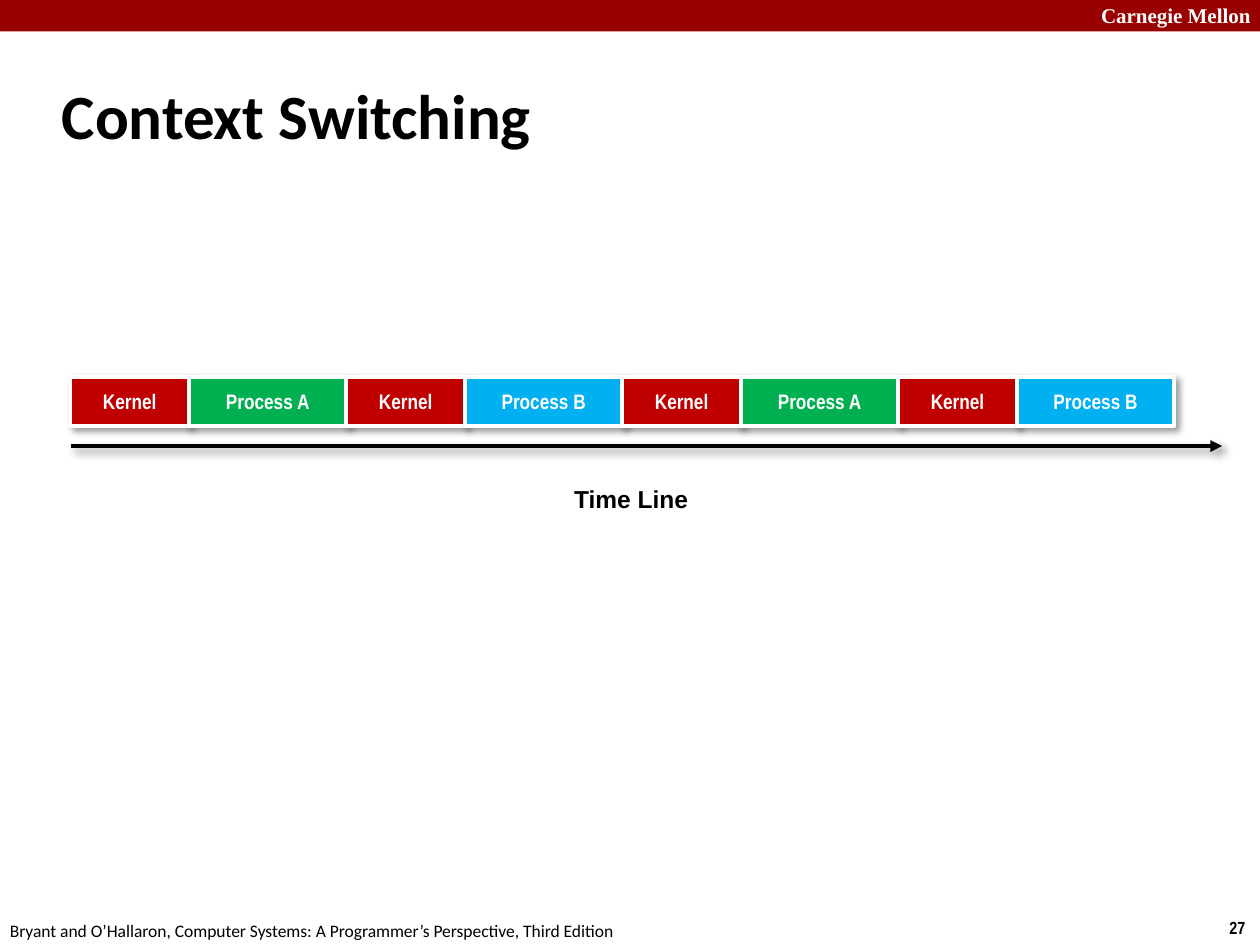
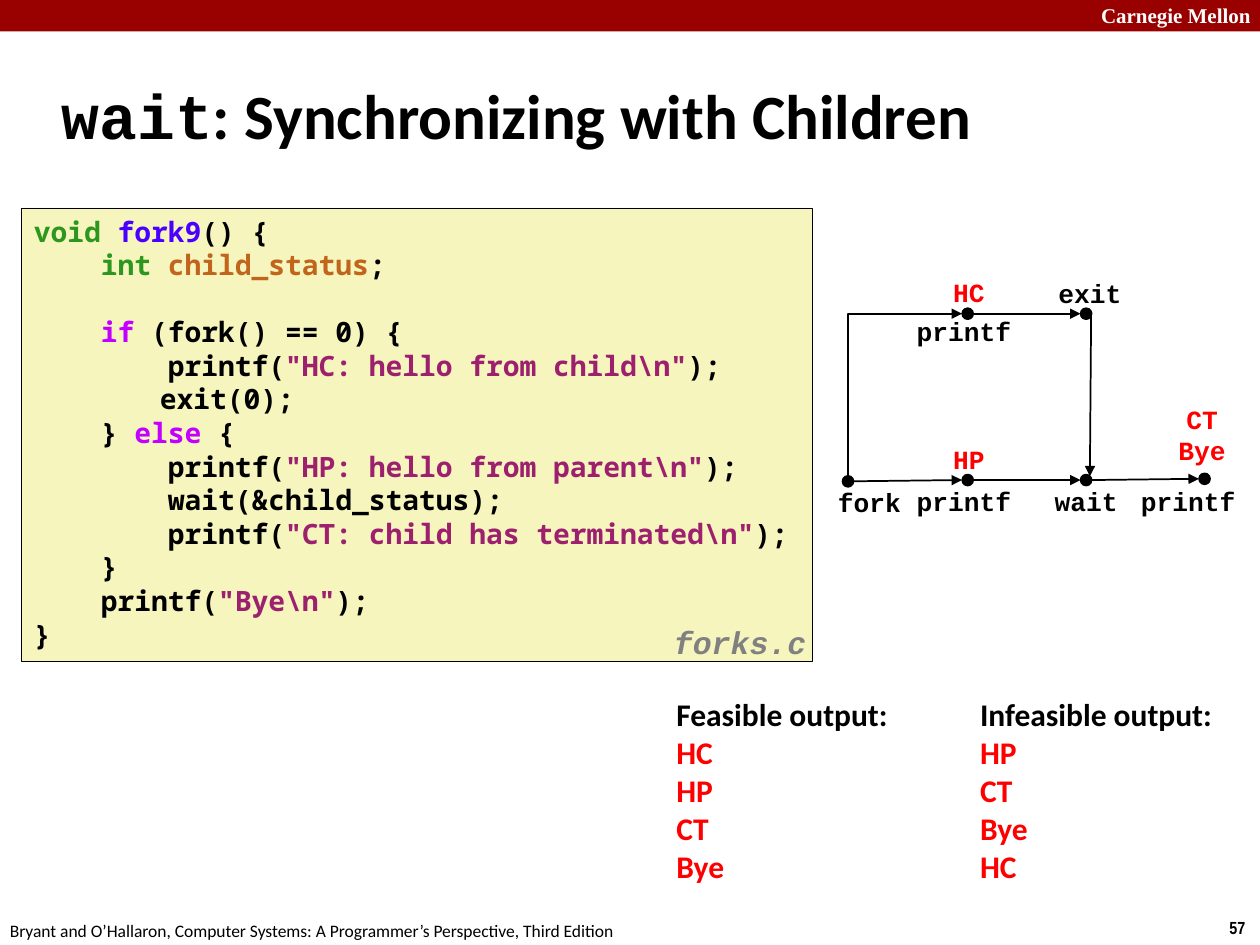
from dataclasses import dataclass
from itertools import pairwise

from lxml.etree import SubElement
from pptx import Presentation
from pptx.dml.color import RGBColor
from pptx.enum.shapes import MSO_CONNECTOR, MSO_SHAPE
from pptx.enum.text import MSO_ANCHOR, PP_ALIGN
from pptx.oxml.ns import qn
from pptx.util import Inches, Pt


@dataclass(frozen=True)
class Theme:
    black: str = "000000"
    white: str = "FFFFFF"
    band: str = "990000"
    kernel: str = "C00000"
    process_a: str = "00B050"
    process_b: str = "00B0F0"
    output: str = "FF0000"
    paper: str = "F6F5BD"
    file_name: str = "808080"
    type_word: str = "2D961E"
    function: str = "4A00FF"
    variable: str = "C1651C"
    keyword: str = "C200FF"
    string: str = "9D206F"
    sans: str = "Calibri"
    narrow: str = "Arial Narrow"
    label: str = "Arial"
    serif: str = "Times New Roman"
    mono: str = "Courier New"
    code: str = "Noto Sans Mono"
    title_size: float = 36
    list_size: float = 18
    code_size: float = 16
    graph_size: float = 15
    caption_size: float = 14
    box_size: float = 12
    footer_size: float = 10


T = Theme()

UNIVERSITY = "Carnegie Mellon"
BOOK = "Bryant and O’Hallaron, Computer Systems: A Programmer’s Perspective, Third Edition"

SWITCHING_TITLE = [("Context Switching",)]
WAIT_TITLE = [("wait", T.black, T.mono), (": Synchronizing with Children",)]

KERNEL = ("Kernel", 0.94, T.kernel)
PROCESS_A = ("Process A", 1.25, T.process_a)
PROCESS_B = ("Process B", 1.25, T.process_b)
TIME_SLICES = [KERNEL, PROCESS_A, KERNEL, PROCESS_B] * 2

CODE = [
    [("void ", T.type_word), ("fork9", T.function), ("() {",)],
    [("    ",), ("int ", T.type_word), ("child_status", T.variable), (";",)],
    [],
    [("    ",), ("if", T.keyword), (" (fork() == 0) {",)],
    [("        printf(",), ('"HC: hello from child\\n"', T.string), (");",)],
    [("\texit(0);",)],
    [("    } ",), ("else", T.keyword), (" {",)],
    [("        printf(",), ('"HP: hello from parent\\n"', T.string), (");",)],
    [("        wait(&child_status);",)],
    [("        printf(",), ('"CT: child has terminated\\n"', T.string), (");",)],
    [("    }",)],
    [("    printf(",), ('"Bye\\n"', T.string), (");",)],
    [("}",)],
]

CHILD_NODES = [(7.68, 2.49), (8.62, 2.49)]
PARENT_NODES = [(6.73, 3.82), (7.68, 3.81), (8.62, 3.81), (9.56, 3.8)]
NODE_SIZE = 0.09

GRAPH_LABELS = [
    (["fork"], 6.9, 3.81, T.black),
    (["printf"], 7.65, 3.8, T.black),
    (["wait"], 8.62, 3.8, T.black),
    (["printf"], 9.43, 3.8, T.black),
    (["printf"], 7.65, 2.45, T.black),
    (["exit"], 8.65, 2.15, T.black),
    (["HP"], 7.69, 3.47, T.output),
    (["HC"], 7.69, 2.14, T.output),
    (["CT", "Bye"], 9.54, 3.15, T.output),
]

OUTPUTS = [
    (5.27, "Feasible output:", ["HC", "HP", "CT", "Bye"]),
    (7.68, "Infeasible output:", ["HP", "CT", "Bye", "HC"]),
]


def write(frame, paragraphs, font=T.sans, size=T.box_size, color=T.black, bold=True,
          italic=False, align=PP_ALIGN.LEFT, anchor=MSO_ANCHOR.TOP, spacing=None, wrap=True):
    frame.word_wrap = wrap
    frame.vertical_anchor = anchor
    for index, runs in enumerate(paragraphs):
        paragraph = frame.paragraphs[0] if index == 0 else frame.add_paragraph()
        paragraph.alignment = align
        if spacing:
            paragraph.line_spacing = spacing
        runs = [(runs,)] if isinstance(runs, str) else runs
        if any("\t" in words for words, *_ in runs):
            tabs = SubElement(paragraph._p.get_or_add_pPr(), qn("a:tabLst"))
            SubElement(tabs, qn("a:tab"), pos=str(Inches(1)), algn="l")
        for words, *style in runs:
            run = paragraph.add_run()
            run.text = words
            run.font.color.rgb = RGBColor.from_string(style[0] if style else color)
            run.font.name = style[1] if len(style) > 1 else font
            run.font.size = Pt(size)
            run.font.bold = bold
            run.font.italic = italic
        if not runs:
            end = SubElement(paragraph._p, qn("a:endParaRPr"), sz=str(int(size * 100)), b="1")
            SubElement(end, qn("a:latin"), typeface=font)


def add_label(slide, at, paragraphs, **style):
    label = slide.shapes.add_textbox(*map(Inches, at))
    write(label.text_frame, paragraphs, **style)


def add_box(slide, at, fill, line=None, width=0.75, kind=MSO_SHAPE.RECTANGLE):
    box = slide.shapes.add_shape(kind, *map(Inches, at))
    box.fill.solid()
    box.fill.fore_color.rgb = RGBColor.from_string(fill)
    if line:
        box.line.color.rgb = RGBColor.from_string(line)
        box.line.width = Pt(width)
    else:
        box.line.fill.background()
    box.shadow.inherit = False
    return box


def add_arrow(slide, start, end, width=1, kind=MSO_CONNECTOR.STRAIGHT):
    arrow = slide.shapes.add_connector(kind, *map(Inches, (*start, *end)))
    arrow.line.color.rgb = RGBColor.from_string(T.black)
    arrow.line.width = Pt(width)
    properties = arrow._element.spPr
    SubElement(properties.find(qn("a:ln")), qn("a:tailEnd"), type="triangle")
    SubElement(properties, qn("a:effectLst"))
    return arrow


def add_corner_arrow(slide, start, end):
    rise, run = start[1] - end[1], end[0] - start[0]
    x, y = (start[0] + end[0]) / 2, (start[1] + end[1]) / 2
    arrow = add_arrow(slide, (x - rise / 2, y - run / 2), (x + rise / 2, y + run / 2),
                      kind=MSO_CONNECTOR.ELBOW)
    properties = arrow._element.spPr
    properties.find(qn("a:prstGeom")).set("prst", "bentConnector2")
    for key, value in {"rot": "5400000", "flipH": "1", "flipV": "1"}.items():
        properties.find(qn("a:xfrm")).set(key, value)


def cast_shadow(part, blur, distance):
    effects = part._element.spPr.find(qn("a:effectLst"))
    shadow = SubElement(effects, qn("a:outerShdw"), blurRad=str(Pt(blur)), dist=str(Pt(distance)),
                        dir="2700000", algn="tl", rotWithShape="0")
    tint = SubElement(shadow, qn("a:srgbClr"), val=T.black)
    SubElement(tint, qn("a:alpha"), val="40000")


def start_slide(deck, title, number):
    slide = deck.slides.add_slide(deck.slide_layouts[5])
    add_box(slide, (0, 0, 10, 0.25), T.band)
    add_label(slide, (8.64, -0.03, 1.43, 0.3), [UNIVERSITY], font=T.serif, color=T.white)
    add_label(slide, (9.66, 7.23, 0.34, 0.27), [number], font=T.narrow, size=T.footer_size,
              wrap=False)
    add_label(slide, (-0.02, 7.25, 5.08, 0.27), [BOOK], size=T.footer_size, bold=False)
    heading = slide.shapes.title
    heading.left, heading.top, heading.width, heading.height = map(Inches, (0.39, 0.49, 8.3, 0.83))
    write(heading.text_frame, [title], size=T.title_size, anchor=MSO_ANCHOR.MIDDLE)
    return slide


def build_switching(deck):
    slide = start_slide(deck, SWITCHING_TITLE, "27")
    left = 0.56
    for name, width, fill in TIME_SLICES:
        time_slice = add_box(slide, (left, 2.99, width, 0.39), fill, T.white, 2.25)
        cast_shadow(time_slice, 4, 3)
        write(time_slice.text_frame, [name], font=T.narrow, color=T.white,
              align=PP_ALIGN.CENTER, anchor=MSO_ANCHOR.MIDDLE)
        left += width
    add_label(slide, (0.48, 3.79, 9.06, 0.34), ["Time Line"], font=T.label,
              size=T.caption_size, align=PP_ALIGN.CENTER)
    cast_shadow(add_arrow(slide, (0.56, 3.54), (9.7, 3.54), 2.25), 5, 3)


def build_wait(deck):
    slide = start_slide(deck, WAIT_TITLE, "57")
    listing = add_box(slide, (0.17, 1.65, 6.28, 3.6), T.paper, T.black, 0.25)
    write(listing.text_frame, CODE, font=T.code, size=T.code_size)

    radius = NODE_SIZE / 2
    for x, y in CHILD_NODES + PARENT_NODES:
        add_box(slide, (x - radius, y - radius, NODE_SIZE, NODE_SIZE), T.black, T.black,
                kind=MSO_SHAPE.OVAL)
    for row in (CHILD_NODES, PARENT_NODES):
        for (x1, y1), (x2, y2) in pairwise(row):
            add_arrow(slide, (x1 + radius, y1), (x2 - radius, y2))
    fork, child_printf = PARENT_NODES[0], CHILD_NODES[0]
    add_corner_arrow(slide, (fork[0], fork[1] - radius),
                     (child_printf[0] - radius, child_printf[1]))
    add_arrow(slide, (8.66, 2.48), (8.65, 3.78))
    for lines, center, top, color in GRAPH_LABELS:
        add_label(slide, (center - 0.5, top, 1, 0.35), lines, font=T.mono, size=T.graph_size,
                  color=color, align=PP_ALIGN.CENTER)

    add_label(slide, (5.25, 4.92, 1.32, 0.39), ["forks.c"], font=T.mono, size=T.list_size,
              color=T.file_name, italic=True, spacing=0.94)
    for left, heading, lines in OUTPUTS:
        add_label(slide, (left, 5.47, 2.07, 1.62), [[(heading, T.black)], *lines],
                  size=T.list_size, color=T.output)


def main():
    deck = Presentation()
    deck.slide_width, deck.slide_height = Inches(10), Inches(7.5)
    build_switching(deck)
    build_wait(deck)
    deck.save("out.pptx")


if __name__ == "__main__":
    main()
